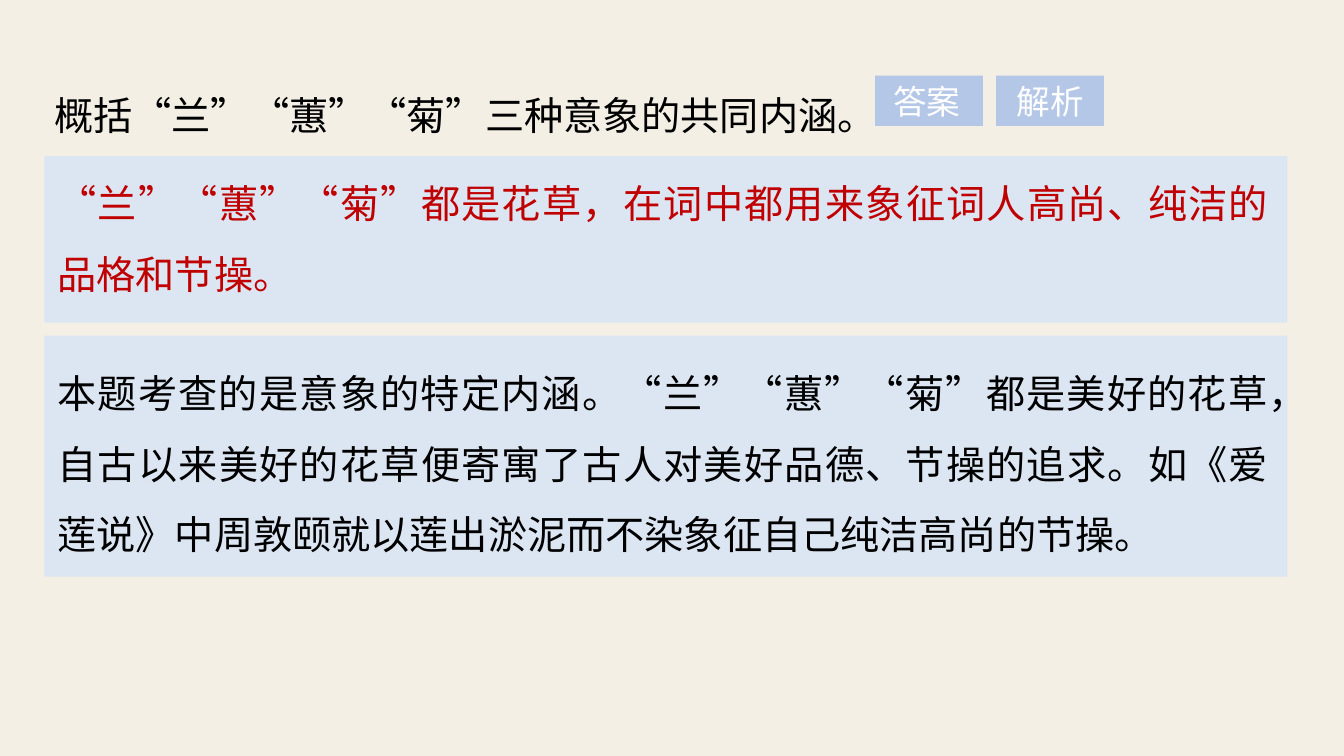
from dataclasses import dataclass
from itertools import groupby

from lxml import etree
from pptx import Presentation
from pptx import util as u
from pptx.dml.color import RGBColor
from pptx.enum import lang, shapes, text
from pptx.oxml.ns import qn


@dataclass(frozen=True)
class Theme:
    background: str = "F3EFE5"
    panel: str = "DCE6F2"
    button: str = "B4C7E7"
    ink: str = "000000"
    answer: str = "C00000"
    label: str = "FFFFFF"
    body_size: int = 28
    label_size: int = 24
    body_font: str = "Times New Roman"
    cjk_font: str = "Noto Sans CJK SC"
    label_font: str = "Arial"


THEME = Theme()
QUOTES = "“”"
BODY_WIDTH = 12.27
PANEL_LEFT, PANEL_WIDTH = 0.44, 12.33
BUTTON_TOP, BUTTON_WIDTH, BUTTON_HEIGHT = 0.75, 1.07, 0.5

QUESTION = "概括“兰”“蕙”“菊”三种意象的共同内涵。"
ANSWER = "“兰”“蕙”“菊”都是花草，在词中都用来象征词人高尚、纯洁的品格和节操。"
ANALYSIS = (
    "本题考查的是意象的特定内涵。“兰”“蕙”“菊”都是美好的花草，"
    "自古以来美好的花草便寄寓了古人对美好品德、节操的追求。"
    "如《爱莲说》中周敦颐就以莲出淤泥而不染象征自己纯洁高尚的节操。"
)


def apply(target, values):
    for name, value in values.items():
        setattr(target, name, value)


def add_span(para, words, name, size, color):
    span = para.add_run()
    span.text = words
    apply(span.font, {
        "name": name,
        "size": u.Pt(size),
        "language_id": lang.MSO_LANGUAGE_ID.SIMPLIFIED_CHINESE,
    })
    span.font.color.rgb = RGBColor.from_string(color)
    latin = span.font._element.find(qn("a:latin"))
    east_asian = etree.Element(qn("a:ea"), typeface=THEME.cjk_font)
    latin.addnext(east_asian)


def add_rectangle(slide, left, top, width, height, color):
    box = slide.shapes.add_shape(
        shapes.MSO_SHAPE.RECTANGLE,
        *map(u.Inches, (left, top, width, height)))
    box.shadow.inherit = False
    box.fill.solid()
    box.fill.fore_color.rgb = RGBColor.from_string(color)
    box.line.fill.background()
    return box


def add_passage(slide, left, top, height, words, color):
    box = slide.shapes.add_textbox(
        *map(u.Inches, (left, top, BODY_WIDTH, height)))
    apply(box.text_frame, {
        "word_wrap": True,
        "auto_size": text.MSO_AUTO_SIZE.SHAPE_TO_FIT_TEXT,
        "margin_left": u.Inches(0.13),
        "margin_right": u.Inches(0.13),
        "margin_top": u.Inches(0.07),
        "margin_bottom": u.Inches(0.07),
    })
    para = box.text_frame.paragraphs[0]
    apply(para, {"alignment": text.PP_ALIGN.JUSTIFY, "line_spacing": 1.5})
    for quoted, letters in groupby(words, key=lambda letter: letter in QUOTES):
        name = THEME.cjk_font if quoted else THEME.body_font
        add_span(para, "".join(letters), name, THEME.body_size, color)


def add_button(slide, left, words, alignment, indent):
    box = add_rectangle(slide, left, BUTTON_TOP, BUTTON_WIDTH, BUTTON_HEIGHT,
                        THEME.button)
    apply(box.text_frame, {
        "word_wrap": True,
        "auto_size": text.MSO_AUTO_SIZE.SHAPE_TO_FIT_TEXT,
        "vertical_anchor": text.MSO_ANCHOR.MIDDLE,
        "margin_left": u.Inches(indent),
    })
    para = box.text_frame.paragraphs[0]
    para.alignment = alignment
    add_span(para, words, THEME.label_font, THEME.label_size, THEME.label)


def main():
    deck = Presentation()
    apply(deck, {"slide_width": u.Inches(13.33), "slide_height": u.Inches(7.5)})
    slide = deck.slides.add_slide(deck.slide_layouts[6])
    slide.background.fill.solid()
    slide.background.fill.fore_color.rgb = RGBColor.from_string(THEME.background)

    add_passage(slide, 0.41, 0.6, 0.75, QUESTION, THEME.ink)
    add_rectangle(slide, PANEL_LEFT, 1.55, PANEL_WIDTH, 1.65, THEME.panel)
    add_passage(slide, PANEL_LEFT, 1.48, 1.46, ANSWER, THEME.answer)
    add_button(slide, 8.68, "答案", text.PP_ALIGN.LEFT, 0.18)
    add_button(slide, 9.88, "解析", text.PP_ALIGN.CENTER, 0.1)
    add_rectangle(slide, PANEL_LEFT, 3.33, PANEL_WIDTH, 2.39, THEME.panel)
    add_passage(slide, PANEL_LEFT, 3.36, 2.16, ANALYSIS, THEME.ink)

    deck.save("out.pptx")


if __name__ == "__main__":
    main()
